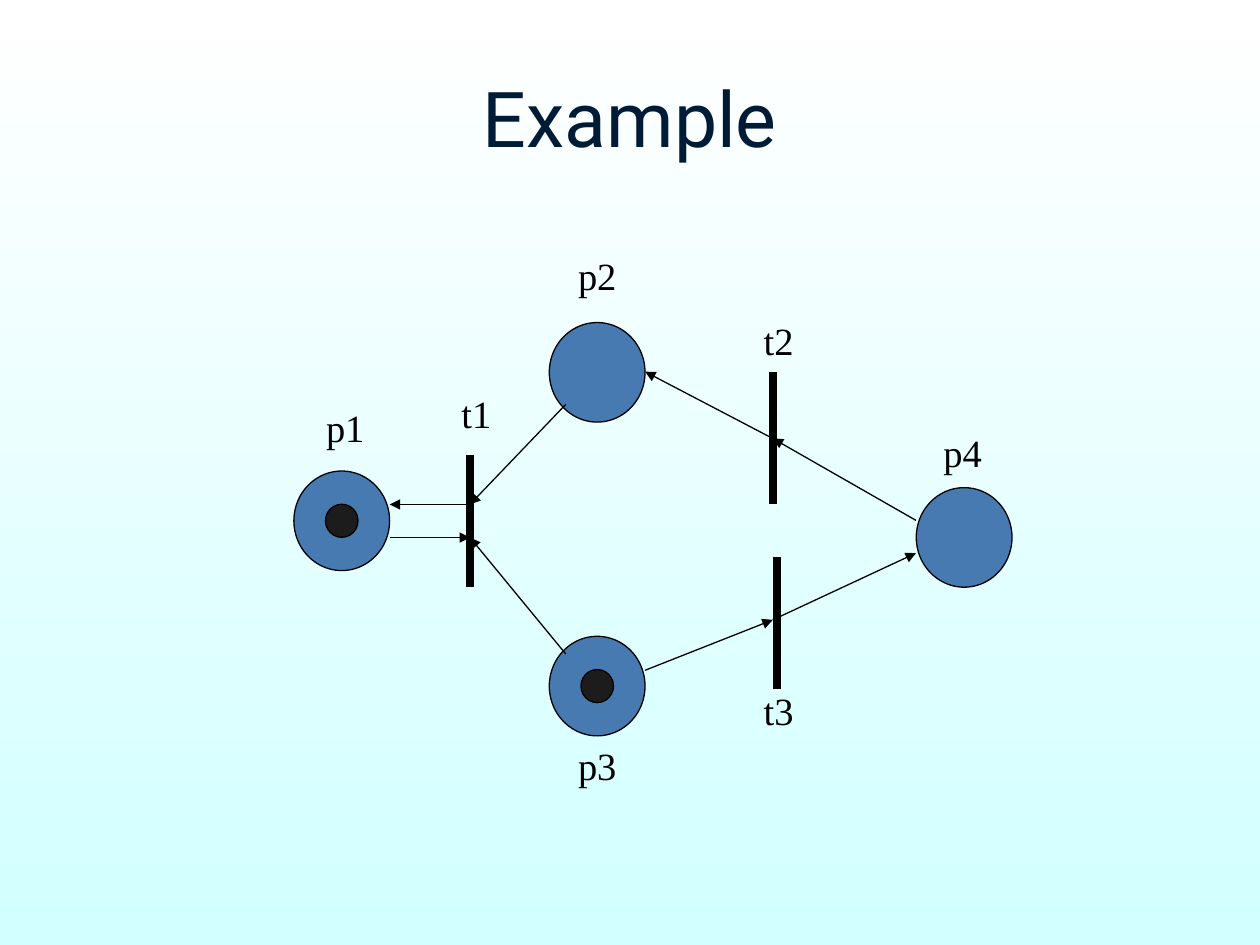
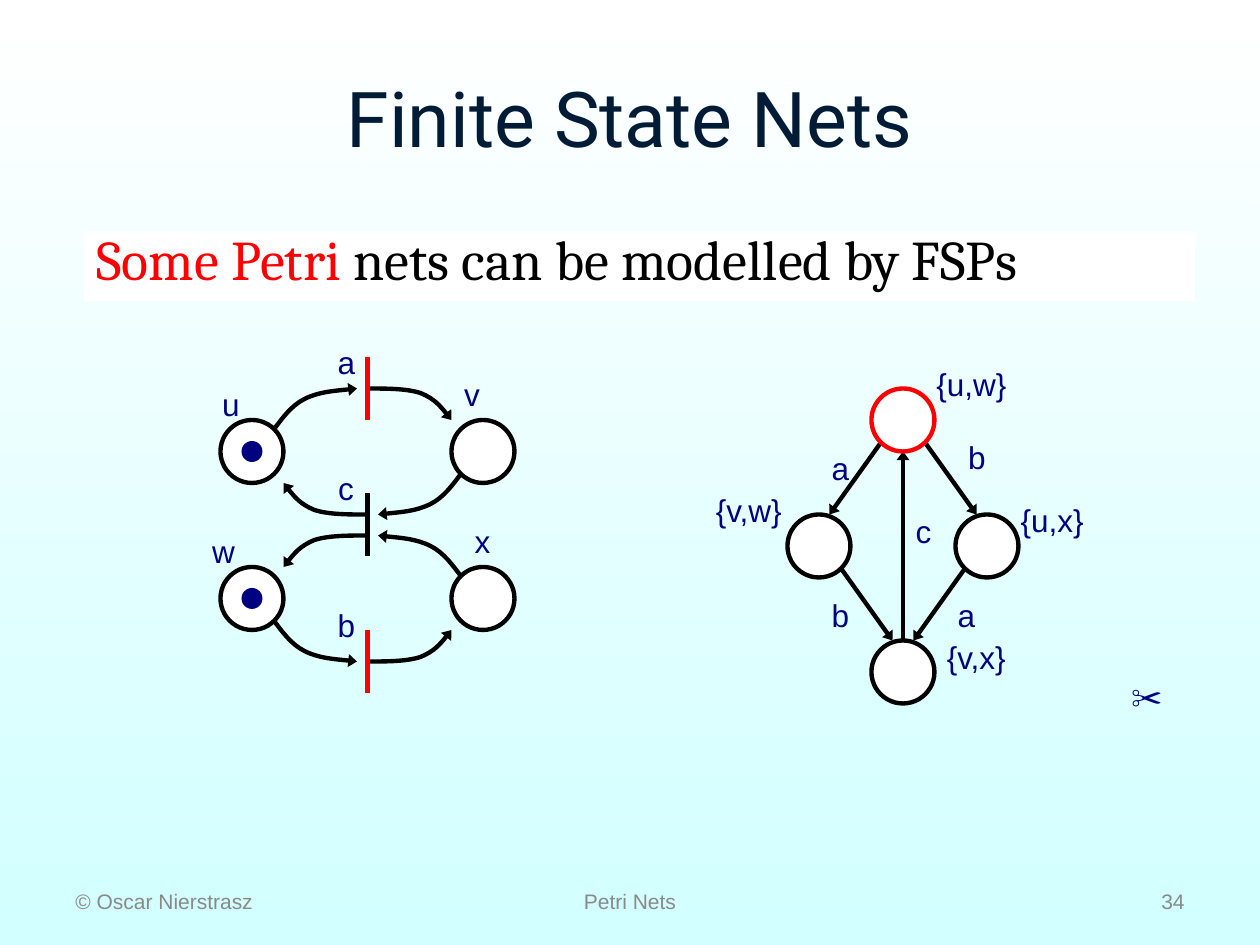
from lxml import etree
from pptx import Presentation
from pptx.dml.color import RGBColor
from pptx.enum.shapes import MSO_CONNECTOR, MSO_SHAPE
from pptx.enum.text import MSO_ANCHOR, MSO_AUTO_SIZE, PP_ALIGN
from pptx.oxml.ns import qn
from pptx.util import Inches, Pt

OVAL = MSO_SHAPE.OVAL
STRAIGHT = MSO_CONNECTOR.STRAIGHT
LEFT, CENTER, RIGHT = PP_ALIGN.LEFT, PP_ALIGN.CENTER, PP_ALIGN.RIGHT
MIDDLE, TOP = MSO_ANCHOR.MIDDLE, MSO_ANCHOR.TOP
NO_AUTOSIZE = MSO_AUTO_SIZE.NONE
COLUMNS, ROWS = 120, 90
TITLE_AND_BODY, TITLE_ONLY = 1, 5
MEDIUM_HEAD, SHORT_HEAD = "med", "sm"

BLACK, WHITE, RED = "000000", "FFFFFF", "FF0000"
NAVY, BLUE, DARK = "00027F", "477AB1", "1C1C1C"
TITLE_COLOR, FOOTER_COLOR, SKY = "001B36", "898989", "D2FFFF"


def rgb(color):
    return RGBColor.from_string(color)


class Deck:
    def __init__(self):
        self.presentation = Presentation()
        self.presentation.slide_width = Inches(10)
        self.presentation.slide_height = Inches(7.5)
        self.slide = None
        fill = self.presentation.slide_master.background.fill
        fill.gradient()
        fill.gradient_angle = 270
        for stop, color in zip(fill.gradient_stops, (WHITE, SKY)):
            stop.color.rgb = rgb(color)

    def x(self, column):
        return round(self.presentation.slide_width * column / COLUMNS)

    def y(self, row):
        return round(self.presentation.slide_height * row / ROWS)

    def box(self, column, row, width, height):
        return self.x(column), self.y(row), self.x(width), self.y(height)

    def place(self, shape, *box):
        shape.left, shape.top, shape.width, shape.height = self.box(*box)

    def run(self, paragraph, text, size, font, color):
        run = paragraph.add_run()
        run.text = text
        run.font.size = Pt(size)
        run.font.name = font
        run.font.color.rgb = rgb(color)

    def new_slide(self, layout, title):
        layouts = self.presentation.slide_layouts
        self.slide = self.presentation.slides.add_slide(layouts[layout])
        shape = self.slide.shapes.title
        self.place(shape, 6, 3.6, 108, 15)
        frame = shape.text_frame
        frame.vertical_anchor = MIDDLE
        frame.auto_size = NO_AUTOSIZE
        paragraph = frame.paragraphs[0]
        paragraph.alignment = CENTER
        self.run(paragraph, title, 44, "Roboto", TITLE_COLOR)

    def body(self, box, runs):
        shape = self.slide.placeholders[1]
        self.place(shape, *box)
        shape.fill.solid()
        shape.fill.fore_color.rgb = rgb(WHITE)
        frame = shape.text_frame
        frame.auto_size = NO_AUTOSIZE
        frame.vertical_anchor = TOP
        paragraph = frame.paragraphs[0]
        properties = paragraph._p.get_or_add_pPr()
        properties.set("marL", str(Inches(0.38)))
        properties.set("indent", str(-Inches(0.38)))
        etree.SubElement(properties, qn("a:buNone"))
        paragraph.line_spacing = 0.8
        paragraph.space_before = Pt(0)
        for text, color in runs:
            self.run(paragraph, text, 32, "Cambria", color)

    def text(self, text, box, size, font, color, alignment=CENTER,
             anchor=TOP, wrap=False):
        frame = self.slide.shapes.add_textbox(*self.box(*box)).text_frame
        frame.word_wrap = wrap
        frame.vertical_anchor = anchor
        paragraph = frame.paragraphs[0]
        paragraph.alignment = alignment
        self.run(paragraph, text, size, font, color)

    def labels(self, entries, size, font, color, width, height):
        for text, center, top in entries:
            box = (center - width / 2, top, width, height)
            self.text(text, box, size, font, color)

    def footer(self, entries):
        for text, column, width, alignment in entries:
            self.text(text, (column, 83.4, width, 4.8), 12, "Arial",
                      FOOTER_COLOR, alignment, MIDDLE, True)

    def oval(self, center, width, height, fill, line=None, weight=0.75):
        column, row = center
        box = self.box(column - width / 2, row - height / 2, width, height)
        shape = self.slide.shapes.add_shape(OVAL, *box)
        shape.shadow.inherit = False
        shape.fill.solid()
        shape.fill.fore_color.rgb = rgb(fill)
        if line:
            self.stroke(shape, line, weight)
        else:
            shape.line.fill.background()

    def stroke(self, shape, color, weight, head=None):
        shape.line.color.rgb = rgb(color)
        shape.line.width = Pt(weight)
        if head:
            line = shape.line._get_or_add_ln()
            etree.SubElement(line, qn("a:tailEnd"), type="triangle",
                             w="med", len=head)

    def line(self, start, end, weight, color=BLACK, head=None):
        connector = self.slide.shapes.add_connector(
            STRAIGHT, self.x(start[0]), self.y(start[1]),
            self.x(end[0]), self.y(end[1]))
        self.stroke(connector, color, weight, head)
        etree.SubElement(connector._element.spPr, qn("a:effectLst"))

    def bar(self, column, top, height, weight, color=BLACK):
        self.line((column, top), (column, top + height), weight, color)

    def curve(self, points, weight):
        start, *rest = [(self.x(column), self.y(row)) for column, row in points]
        builder = self.slide.shapes.build_freeform(*start)
        builder.add_line_segments(rest, close=False)
        shape = builder.convert_to_shape()
        shape.shadow.inherit = False
        shape.fill.background()
        outline = shape._element.find(".//" + qn("a:path"))
        segments = outline.findall(qn("a:lnTo"))
        for first in range(0, len(segments), 3):
            bezier = etree.SubElement(outline, qn("a:cubicBezTo"))
            for segment in segments[first:first + 3]:
                bezier.append(segment[0])
                outline.remove(segment)
        self.stroke(shape, BLACK, weight, SHORT_HEAD)


def example_slide(deck):
    deck.new_slide(TITLE_ONLY, "Example")
    p1, p2, p3, p4 = (32.55, 49.6), (56.88, 35.46), (56.88, 65.34), (91.83, 51.18)
    for place in (p1, p2, p3, p4):
        deck.oval(place, 9.12, 9.48, BLUE, BLACK)
    for place in (p1, p3):
        deck.oval(place, 3.1, 3.15, DARK, BLACK)

    for column, top in ((44.76, 43.32), (73.6, 35.4), (74.04, 53.04)):
        deck.bar(column, top, 12.6, 4.5)

    t1_out, t1_in = (44.76, 48.04), (44.76, 51.2)
    t2, t3 = (73.6, 41.76), (73.6, 59.04)
    arcs = [
        (t1_out, (37.12, 48.04)), ((37.12, 51.2), t1_in),
        ((53.88, 38.52), t1_out), ((53.88, 62.28), t1_in),
        ((61.44, 63.84), t3), (t3, (87.24, 52.68)),
        ((87.24, 49.56), t2), (t2, (61.44, 35.4)),
    ]
    for start, end in arcs:
        deck.line(start, end, 0.75, head=MEDIUM_HEAD)

    names = [
        ("p1", 32.88, 37.92), ("p2", 56.88, 23.4), ("p3", 56.88, 70.08),
        ("p4", 91.68, 40.32), ("t1", 45.36, 36.6), ("t2", 74.16, 29.64),
        ("t3", 74.16, 64.8),
    ]
    deck.labels(names, 22, "Times New Roman", BLACK, 9, 5.64)


def draw_petri_net(deck):
    place_to_bar = [(26, 41), (26.88, 39.84), (27.72, 38.64), (29, 38),
                    (30.36, 37.32), (32.16, 37.2), (34, 37)]
    bar_to_place = [(35, 37), (36.84, 37), (38.76, 37), (40.08, 37.44),
                    (41.4, 38), (42.24, 39), (43, 40)]
    for points in (place_to_bar, bar_to_place):
        turned = [(70 - column, 86 - row) for column, row in points]
        for upper in (points, turned):
            deck.curve(upper, 2.5)
            deck.curve([(column, 100 - row) for column, row in upper], 2.5)

    for top, color in ((34, RED), (47, BLACK), (60, RED)):
        deck.bar(35, top, 6, 3, color)
    for row in (43, 57):
        for column in (24, 46):
            deck.oval((column, row), 6, 6, WHITE, BLACK, 2.5)
        deck.oval((24, row), 2, 2, NAVY)


def draw_state_graph(deck):
    edges = [
        ((84, 42), (79, 49)), ((88, 42), (93, 49)), ((92, 54), (87, 61)),
        ((80, 54), (85, 61)), ((86, 61), (86, 43)),
    ]
    for start, end in edges:
        deck.line(start, end, 2.5, head=SHORT_HEAD)
    states = [((86, 40), RED), ((78, 52), BLACK), ((94, 52), BLACK),
              ((86, 64), BLACK)]
    for center, color in states:
        deck.oval(center, 6, 6, WHITE, color, 2.5)


def finite_state_slide(deck):
    deck.new_slide(TITLE_AND_BODY, "Finite State Nets")
    deck.body((8, 22, 105.8, 6.7), [
        ("Some Petri ", RED), ("nets can be modelled by FSPs", BLACK)])
    draw_petri_net(deck)
    draw_state_graph(deck)
    names = [
        ("u", 22, 36.12), ("w", 21.28, 50.1), ("a", 33, 32.1),
        ("v", 44.95, 35.16), ("x", 45.96, 49.08), ("c", 32.95, 44.1),
        ("b", 33, 57.12),
        ("{u,w}", 92.52, 34.16), ("{v,w}", 71.32, 46.16),
        ("{u,x}", 100.2, 47.16), ("{v,x}", 92.98, 60.2),
        ("a", 80.04, 42.2), ("b", 80.04, 56.16), ("a", 92.04, 56.16),
        ("b", 93.04, 41.16), ("c", 87.96, 48.2), ("✂", 109.2, 63.96),
    ]
    deck.labels(names, 18, "Arial", NAVY, 12, 4.8)
    deck.footer([
        ("© Oscar Nierstrasz", 6, 28, LEFT),
        ("Petri Nets", 41, 38, CENTER),
        ("34", 86, 28, RIGHT),
    ])


def main():
    deck = Deck()
    example_slide(deck)
    finite_state_slide(deck)
    deck.presentation.save("out.pptx")


if __name__ == "__main__":
    main()
